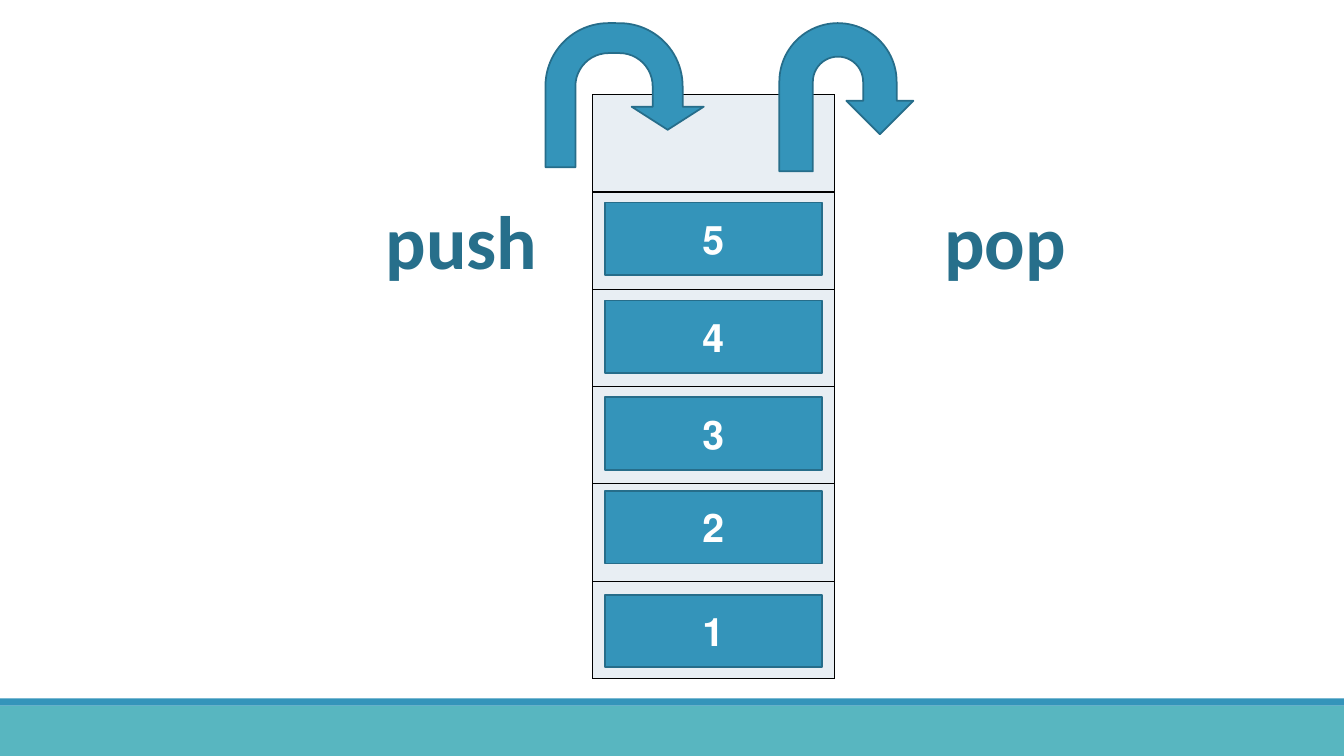
import pptx
import pptx.util
import pptx.dml.color
import pptx.enum.shapes
import pptx.enum.text
import pptx.oxml
import pptx.oxml.ns

Inch = pptx.util.Inches
Kind = pptx.enum.shapes.MSO_SHAPE
Align = pptx.enum.text.PP_ALIGN
WIDE, HIGH = 13.33, 7.5
COLORS = {"blue": "3494BA", "edge": "266D8A", "word": "276F8B", "teal": "58B6C0",
          "cell": "E8EEF3", "black": "000000", "white": "FFFFFF"}

deck = pptx.Presentation()
deck.slide_width, deck.slide_height = Inch(WIDE), Inch(HIGH)
slide = deck.slides.add_slide(deck.slide_layouts[6])


def draw(kind, box, fill, edge=None):
    shape = slide.shapes.add_shape(kind, *[Inch(n) for n in box])
    shape.shadow.inherit = False
    shape.fill.solid()
    shape.fill.fore_color.rgb = pptx.dml.color.RGBColor.from_string(COLORS[fill])
    if edge:
        shape.line.color.rgb = pptx.dml.color.RGBColor.from_string(COLORS[edge])
        shape.line.width = pptx.util.Pt(1.25)
    else:
        shape.line.fill.background()
    return shape


def write(shape, text, size, color, align):
    shape.text_frame.word_wrap = True
    para = shape.text_frame.paragraphs[0]
    para.text = text
    para.alignment = align
    para._p.get_or_add_pPr().set("rtl", "1")
    font = para.runs[0].font
    font.name, font.size, font.bold = "Calibri", pptx.util.Pt(size), True
    font.color.rgb = pptx.dml.color.RGBColor.from_string(COLORS[color])


# Footer bands
draw(Kind.RECTANGLE, (0, 7, WIDE, 0.5), "teal")
draw(Kind.RECTANGLE, (0, 6.93, WIDE, 0.07), "blue")

# Stack frame: one column of equal cells
ROWS, TALL = 6, 5.79
frame = slide.shapes.add_table(ROWS, 1, Inch(5.88), Inch(0.94), Inch(2.4), Inch(TALL))
table = frame.table
table.first_row = table.horz_banding = False
for row in table.rows:
    row.height = Inch(TALL / ROWS)
    cell = row.cells[0]
    props = cell._tc.get_or_add_tcPr()
    for side in ("lnL", "lnR", "lnT", "lnB"):
        props.append(pptx.oxml.parse_xml(
            f'<a:{side} {pptx.oxml.ns.nsdecls("a")} w="12700"><a:solidFill>'
            f'<a:srgbClr val="{COLORS["black"]}"/></a:solidFill></a:{side}>'))
    cell.fill.solid()
    cell.fill.fore_color.rgb = pptx.dml.color.RGBColor.from_string(COLORS["cell"])

# Stack items, bottom first
for num, top in enumerate((5.9, 4.87, 3.94, 2.98, 2.01), 1):
    item = draw(Kind.RECTANGLE, (6, top, 2.15, 0.72), "blue", "edge")
    item.text_frame.vertical_anchor = pptx.enum.text.MSO_ANCHOR.MIDDLE
    write(item, str(num), 28, "white", Align.CENTER)

# Arrows into and out of the stack
push = draw(Kind.U_TURN_ARROW, (5.41, 0.23, 1.57, 1.43), "blue", "edge")
for spot, share in enumerate((0.208, 0.25, 0.16, 0.438, 0.74)):
    push.adjustments[spot] = share
draw(Kind.U_TURN_ARROW, (7.73, 0.23, 1.33, 1.47), "blue", "edge")

# Labels
for word, left in (("push", 3.5), ("pop", 8.74)):
    label = slide.shapes.add_textbox(Inch(left), Inch(1.87), Inch(1.93), Inch(1.01))
    write(label, word, 54, "word", Align.RIGHT)
    label.text_frame.auto_size = pptx.enum.text.MSO_AUTO_SIZE.SHAPE_TO_FIT_TEXT

deck.save("out.pptx")
